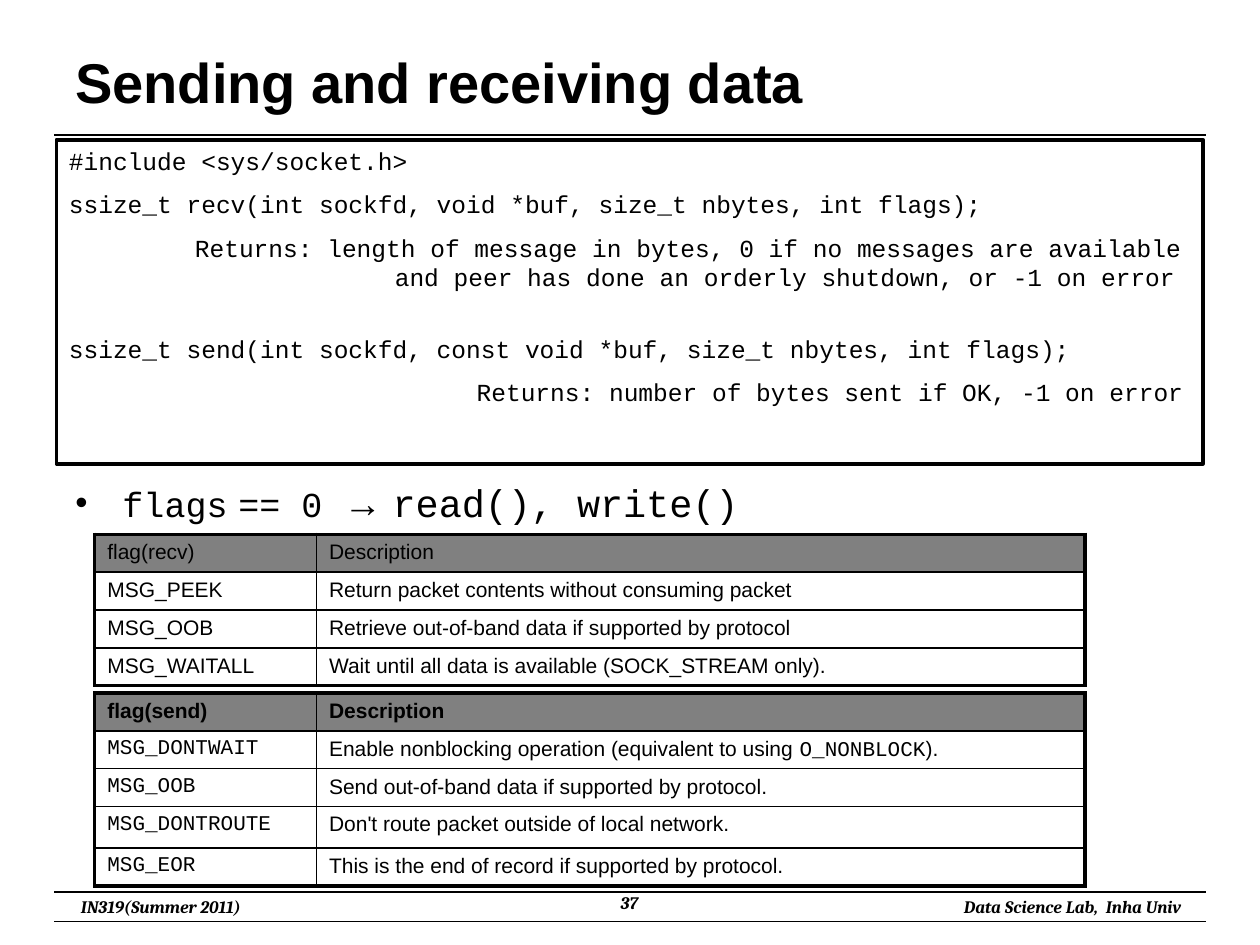
"""Build a slide on sending and receiving data over sockets."""
from lxml import etree
from pptx import Presentation
from pptx.dml.color import RGBColor
from pptx.enum.shapes import MSO_CONNECTOR, MSO_SHAPE
from pptx.enum.text import MSO_ANCHOR, PP_ALIGN
from pptx.oxml.ns import qn
from pptx.util import Cm, Pt

LEFT, CENTER, RIGHT = PP_ALIGN.LEFT, PP_ALIGN.CENTER, PP_ALIGN.RIGHT
TOP, MIDDLE = MSO_ANCHOR.TOP, MSO_ANCHOR.MIDDLE
COLORS = {"ink": "000000", "header": "808080", "paper": "FFFFFF"}
SANS, SERIF, MONO = "Arial", "Cambria", "Courier New"

TITLE = "Sending and receiving data"
FOOTERS = [
    ("IN319(Summer 2011)", (1.04, 17.93, 4.4, 0.69), CENTER, False),
    ("Data Science Lab,  Inha Univ", (18.19, 17.93, 5.87, 0.69), RIGHT, False),
    ("37", (9.73, 17.86, 5.92, 0.79), CENTER, True),
]
RULES = [2.72, 17.98, 18.57]
RULE_LEFT, RULE_RIGHT = 1.09, 24.31
CODE_BOX = (1.14, 2.82, 23.11, 6.53)
CODE = [
    ("#include <sys/socket.h>", 0, 0, 2),
    ("ssize_t recv(int sockfd, void *buf, size_t nbytes, int flags);", 0, 0, 8),
    ("Returns: length of message in bytes, 0 if no messages are available\v"
     "and peer has done an orderly shutdown, or -1 on error", 6.57, -4.03, 8),
    ("ssize_t send(int sockfd, const void *buf, size_t nbytes, int flags);", 0, 0, 24),
    ("Returns: number of bytes sent if OK, -1 on error", 8.22, 0, 8),
]
BULLET = [
    ("flags", MONO, 20, False),
    (" ", SANS, 22, True),
    ("== 0 ", MONO, 20, False),
    ("→ ", SANS, 22, True),
    ("read(), write()", MONO, 22, False),
]
TABLES = [
    {"top": 10.77, "bold": False, "flag_font": SANS, "heights": [0.76] * 4, "rows": [
        ("flag(recv)", "Description"),
        ("MSG_PEEK", "Return packet contents without consuming packet"),
        ("MSG_OOB", "Retrieve out-of-band data if supported by protocol"),
        ("MSG_WAITALL", "Wait until all data is available (SOCK_STREAM only)."),
    ]},
    {"top": 13.97, "bold": True, "flag_font": MONO,
     "heights": [0.76, 0.76, 0.76, 0.84, 0.76], "rows": [
        ("flag(send)", "Description"),
        ("MSG_DONTWAIT", "Enable nonblocking operation (equivalent to using O_NONBLOCK)."),
        ("MSG_OOB", "Send out-of-band data if supported by protocol."),
        ("MSG_DONTROUTE", "Don't route packet outside of local network."),
        ("MSG_EOR", "This is the end of record if supported by protocol."),
    ]},
]
TABLE_LEFT, COLUMNS = 1.91, (4.47, 15.49)
CODE_WORD = "O_NONBLOCK"


def color(name):
    return RGBColor.from_string(COLORS[name])


def style(run, font, size, bold=False, italic=False):
    run.font.name, run.font.size = font, Pt(size)
    run.font.bold, run.font.italic = bold, italic
    run.font.color.rgb = color("ink")


def add_run(paragraph, text, *look):
    run = paragraph.add_run()
    run.text = text
    style(run, *look)


def indent(paragraph, margin, first_line):
    properties = paragraph._p.get_or_add_pPr()
    properties.set("marL", str(Cm(margin)))
    properties.set("indent", str(Cm(first_line)))
    return properties


def add_box(slide, place, anchor=TOP, wrap=True):
    box = slide.shapes.add_textbox(*map(Cm, place))
    box.text_frame.word_wrap = wrap
    box.text_frame.vertical_anchor = anchor
    return box.text_frame


def add_label(slide, text, place, alignment, anchor, wrap, *look):
    paragraph = add_box(slide, place, anchor, wrap).paragraphs[0]
    paragraph.alignment = alignment
    add_run(paragraph, text, *look)


def add_rule(slide, height):
    rule = slide.shapes.add_connector(
        MSO_CONNECTOR.STRAIGHT, Cm(RULE_LEFT), Cm(height), Cm(RULE_RIGHT), Cm(height))
    rule.line.color.rgb = color("ink")
    rule.line.width = Pt(0.75)
    etree.SubElement(rule._element.spPr, qn("a:effectLst"))


def add_code(slide):
    shape = slide.shapes.add_shape(MSO_SHAPE.RECTANGLE, *map(Cm, CODE_BOX))
    shape.shadow.inherit = False
    shape.fill.background()
    shape.line.color.rgb = color("ink")
    shape.line.width = Pt(2.25)
    frame = shape.text_frame
    frame.word_wrap = True
    frame.vertical_anchor = TOP
    frame.text = "\n".join(line[0] for line in CODE)
    for paragraph, (_, margin, first_line, before) in zip(frame.paragraphs, CODE):
        paragraph.alignment = LEFT
        paragraph.space_before = Pt(before)
        indent(paragraph, margin, first_line)
        for run in paragraph.runs:
            style(run, MONO, 14)


def add_bullet(slide):
    paragraph = add_box(slide, (1.27, 9.53, 22.86, 1.2)).paragraphs[0]
    paragraph.space_before = Pt(2)
    properties = indent(paragraph, 0.95, -0.95)
    etree.SubElement(properties, qn("a:buFont"), typeface=SANS)
    etree.SubElement(properties, qn("a:buChar"), char="•")
    for text, *look in BULLET:
        add_run(paragraph, text, *look)


def set_borders(cell, thick_sides):
    properties = cell._tc.get_or_add_tcPr()
    for index, side in enumerate(("lnL", "lnR", "lnT", "lnB")):
        width = Pt(2.25) if side in thick_sides else Pt(1)
        line = etree.Element(qn("a:" + side), w=str(width))
        fill = etree.SubElement(line, qn("a:solidFill"))
        etree.SubElement(fill, qn("a:srgbClr"), val=COLORS["ink"])
        properties.insert(index, line)


def add_flag_table(slide, top, bold, flag_font, heights, rows):
    table = slide.shapes.add_table(
        len(rows), len(COLUMNS), Cm(TABLE_LEFT), Cm(top),
        Cm(sum(COLUMNS)), Cm(sum(heights))).table
    for column, width in zip(table.columns, COLUMNS):
        column.width = Cm(width)
    for row, height in zip(table.rows, heights):
        row.height = Cm(height)
    last = len(rows) - 1
    for r, texts in enumerate(rows):
        for c, text in enumerate(texts):
            cell = table.cell(r, c)
            cell.fill.solid()
            cell.fill.fore_color.rgb = color("paper" if r else "header")
            thick = {"lnR" if c else "lnL"}
            if r == 0:
                thick.add("lnT")
            if r == last:
                thick.add("lnB")
            set_borders(cell, thick)
            font = flag_font if r and c == 0 else SANS
            before, word, after = text.partition(CODE_WORD)
            for part, part_font in ((before, font), (word, MONO), (after, font)):
                if part:
                    add_run(cell.text_frame.paragraphs[0], part, part_font, 12,
                            bold and r == 0)


presentation = Presentation()
presentation.slide_width, presentation.slide_height = Cm(25.4), Cm(19.05)
slide = presentation.slides.add_slide(presentation.slide_layouts[6])
for height in RULES:
    add_rule(slide, height)
for text, place, alignment, wrap in FOOTERS:
    add_label(slide, text, place, alignment, TOP, wrap, SERIF, 10, True, True)
add_label(slide, TITLE, (1.27, 0.76, 22.86, 1.75), LEFT, MIDDLE, True, SANS, 32, True)
add_bullet(slide)
add_code(slide)
for flag_table in TABLES:
    add_flag_table(slide, **flag_table)
presentation.save("out.pptx")
